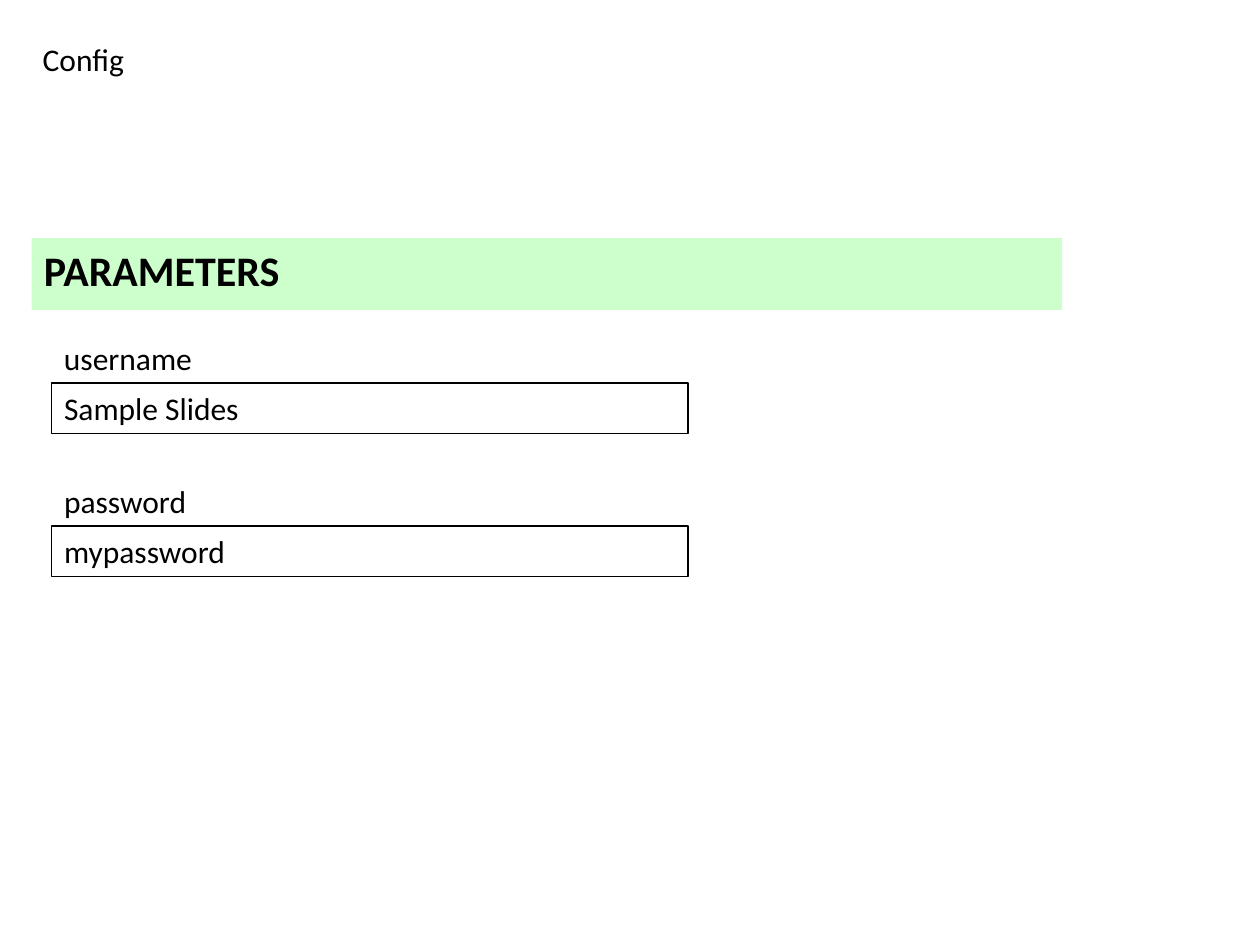
from pptx import Presentation
from pptx.dml.color import RGBColor
from pptx.enum.shapes import MSO_SHAPE as Shape
from pptx.enum.text import MSO_ANCHOR as Anchor, PP_ALIGN as Align
from pptx.util import Inches, Pt

BLACK = RGBColor(0x00, 0x00, 0x00)
PALE_GREEN = RGBColor(0xCC, 0xFF, 0xCC)

FIELD_LEFT, FIELD_WIDTH = 0.41, 5.05
FIELD_TOP, FIELD_PITCH = 2.64, 1.135
ROW_HEIGHT = 0.4
FIELDS = [("username", "Sample Slides", 1.23), ("password", "mypassword", 1.19)]


def write(box, text, size=18, bold=False, wrap=True):
    frame = box.text_frame
    frame.word_wrap = wrap
    frame.vertical_anchor = Anchor.TOP
    para = frame.paragraphs[0]
    para.alignment = Align.LEFT
    span = para.add_run()
    span.text = text
    span.font.name = "Calibri"
    span.font.size = Pt(size)
    span.font.bold = bold
    span.font.color.rgb = BLACK


def add_label(page, text, left, top, width):
    box = page.shapes.add_textbox(*map(Inches, (left, top, width, ROW_HEIGHT)))
    write(box, text, wrap=False)


def add_panel(page, text, left, top, width, height, fill=None, line=None, **style):
    """Add a rectangle with left-aligned text and an optional fill and outline."""
    box = page.shapes.add_shape(
        Shape.RECTANGLE, *map(Inches, (left, top, width, height)))
    box.shadow.inherit = False
    if fill is None:
        box.fill.background()
    else:
        box.fill.solid()
        box.fill.fore_color.rgb = fill
    if line is None:
        box.line.fill.background()
    else:
        box.line.color.rgb = line
        box.line.width = Pt(0.75)
    write(box, text, **style)


def add_field(page, row, label, value, label_width):
    """Add a label with its value box directly below it."""
    top = FIELD_TOP + row * FIELD_PITCH
    add_label(page, label, FIELD_LEFT, top, label_width)
    add_panel(page, value, FIELD_LEFT, top + ROW_HEIGHT, FIELD_WIDTH, ROW_HEIGHT,
              line=BLACK)


def main():
    deck = Presentation()
    deck.slide_width, deck.slide_height = Inches(10), Inches(7.5)
    page = deck.slides.add_slide(deck.slide_layouts[6])
    add_label(page, "Config", 0.24, 0.27, 0.85)
    add_panel(page, "PARAMETERS", 0.25, 1.89, 8.18, 0.57,
              fill=PALE_GREEN, size=24, bold=True)
    for row, field in enumerate(FIELDS):
        add_field(page, row, *field)
    deck.save("out.pptx")


if __name__ == "__main__":
    main()
